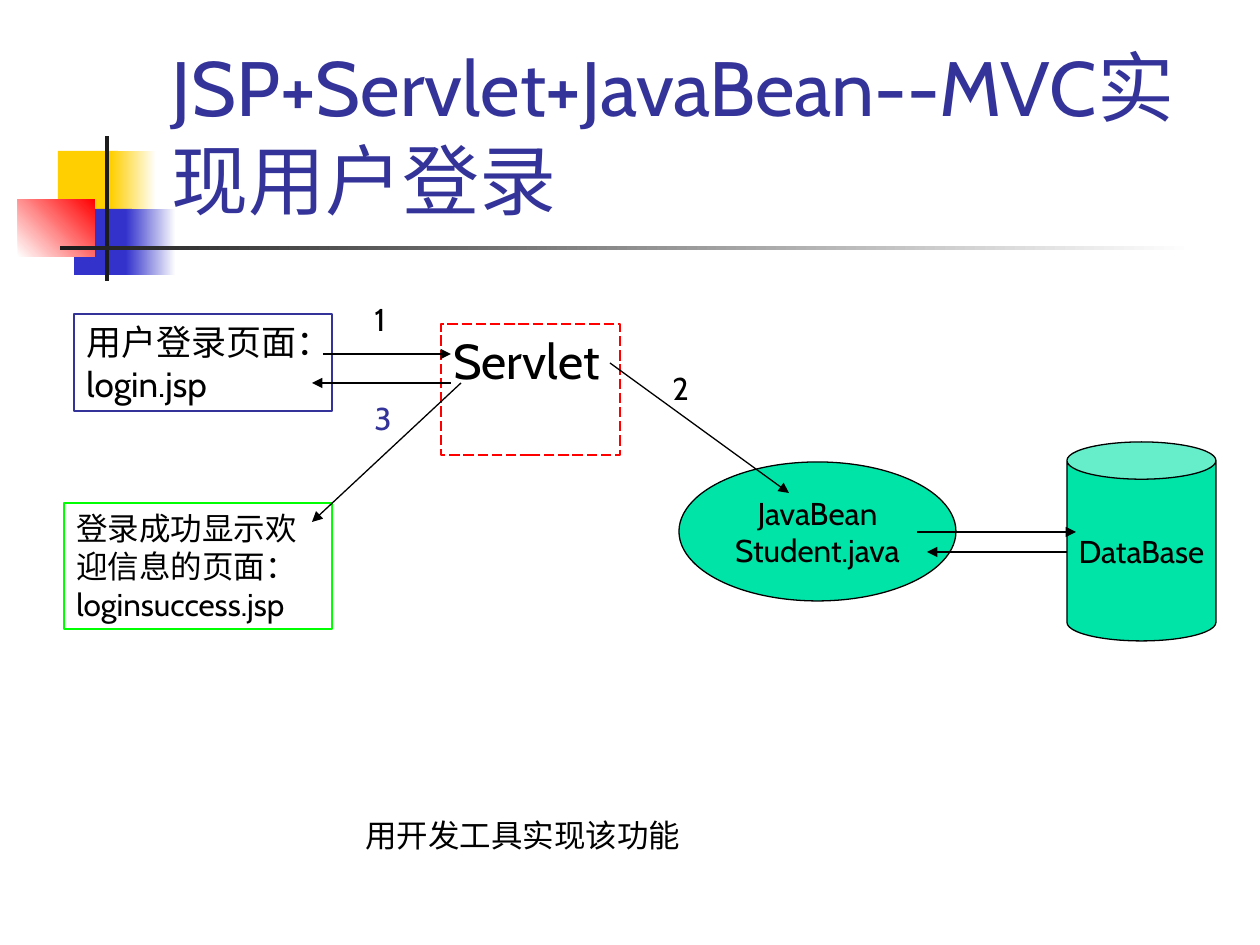
from lxml.etree import SubElement
from pptx import Presentation
from pptx.dml.color import RGBColor
from pptx.enum.dml import MSO_LINE
from pptx.enum.shapes import MSO_CONNECTOR, MSO_SHAPE
from pptx.enum.text import MSO_ANCHOR, MSO_AUTO_SIZE, PP_ALIGN
from pptx.oxml.ns import qn
from pptx.util import Pt

FONT = "Cabin"
EMU_PER_PX = 914400 / 126

BLACK = RGBColor(0x00, 0x00, 0x00)
WHITE = RGBColor(0xFF, 0xFF, 0xFF)
CHARCOAL = RGBColor(0x1C, 0x1C, 0x1C)
YELLOW = RGBColor(0xFF, 0xCF, 0x01)
BLUE = RGBColor(0x33, 0x33, 0xCC)
NAVY = RGBColor(0x33, 0x33, 0x99)
RED = RGBColor(0xFF, 0x00, 0x00)
LIME = RGBColor(0x00, 0xFF, 0x00)
GREEN = RGBColor(0x00, 0xE4, 0xA8)

TITLE = "JSP+Servlet+JavaBean--MVC实现用户登录"
TITLE_BOX = (159, 29, 1073, 202)

# box in px, colours (two make a gradient), gradient angle
ORNAMENTS = [
    ((58, 151, 60, 66), [YELLOW], 0),
    ((111, 151, 45, 66), [YELLOW, WHITE], 0),
    ((74, 209, 58, 66), [BLUE], 0),
    ((126, 209, 50, 66), [BLUE, WHITE], 0),
    ((18, 199, 77, 58), [WHITE, RED], 45),
    ((105, 136, 4, 145), [CHARCOAL], 0),
    ((60, 246, 1134, 4), [CHARCOAL, WHITE], 0),
]

# box in px, line colour, dash, text size, text
PAGES = [
    ((74, 314, 258, 97), NAVY, None, 20, "用户登录页面：login.jsp"),
    ((441, 324, 179, 131), RED, MSO_LINE.LONG_DASH, 28, "Servlet"),
    ((64, 503, 268, 126), LIME, None, 18, "登录成功显示欢迎信息的页面：loginsuccess.jsp"),
]

# preset, box in px, lines of text
COMPONENTS = [
    (MSO_SHAPE.OVAL, (679, 462, 277, 139), ["JavaBean", "Student.java"]),
    (MSO_SHAPE.CAN, (1067, 442, 149, 199), ["DataBase"]),
]

# start and end in px
ARROWS = [
    ((323, 354), (451, 354)),
    ((610, 363), (789, 493)),
    ((917, 532), (1076, 532)),
    ((1067, 552), (927, 552)),
    ((461, 383), (312, 522)),
    ((451, 383), (312, 383)),
]

# box in px, colour, text
LABELS = [
    ((362, 294, 40, 50), BLACK, "1"),
    ((660, 363, 49, 50), BLACK, "2"),
    ((362, 393, 40, 50), NAVY, "3"),
    ((353, 810, 407, 50), BLACK, "用开发工具实现该功能"),
]


def px(*lengths):
    return [round(length * EMU_PER_PX) for length in lengths]


def write(shape, lines, size, color=BLACK, align=PP_ALIGN.LEFT,
          anchor=MSO_ANCHOR.TOP, wrap=True):
    frame = shape.text_frame
    frame.word_wrap = wrap
    frame.auto_size = MSO_AUTO_SIZE.NONE
    frame.vertical_anchor = anchor
    for index, line in enumerate(lines):
        paragraph = frame.add_paragraph() if index else frame.paragraphs[0]
        paragraph.alignment = align
        run = paragraph.add_run()
        run.text = line
        run.font.name = FONT
        run.font.size = Pt(size)
        run.font.color.rgb = color


def add_shape(slide, preset, box, colors=(), angle=0, line=None, dash=None):
    """Add a shape with no fill, one colour or a two-colour gradient."""
    shape = slide.shapes.add_shape(preset, *px(*box))
    shape.shadow.inherit = False
    if len(colors) == 2:
        shape.fill.gradient()
        shape.fill.gradient_angle = angle
        for stop, color, position in zip(shape.fill.gradient_stops, colors, (0, 1)):
            stop.color.rgb = color
            stop.position = position
    elif colors:
        shape.fill.solid()
        shape.fill.fore_color.rgb = colors[0]
    else:
        shape.fill.background()
    if line is None:
        shape.line.fill.background()
    else:
        shape.line.color.rgb = line
        shape.line.width = Pt(0.75)
        if dash:
            shape.line.dash_style = dash
    return shape


def add_arrow(slide, start, end):
    arrow = slide.shapes.add_connector(MSO_CONNECTOR.STRAIGHT, *px(*start, *end))
    arrow.line.color.rgb = BLACK
    arrow.line.width = Pt(0.75)
    properties = arrow.element.spPr
    SubElement(properties.find(qn("a:ln")), qn("a:tailEnd"), type="triangle")
    SubElement(properties, qn("a:effectLst"))


def main():
    presentation = Presentation()
    presentation.slide_width, presentation.slide_height = px(1260, 945)
    slide = presentation.slides.add_slide(presentation.slide_layouts[5])

    title = slide.shapes.title
    title.left, title.top, title.width, title.height = px(*TITLE_BOX)
    write(title, [TITLE], 44, NAVY, anchor=MSO_ANCHOR.BOTTOM)

    for box, colors, angle in ORNAMENTS:
        add_shape(slide, MSO_SHAPE.RECTANGLE, box, colors, angle)
    for box, line, dash, size, text in PAGES:
        page = add_shape(slide, MSO_SHAPE.RECTANGLE, box, line=line, dash=dash)
        write(page, [text], size)
    for preset, box, lines in COMPONENTS:
        component = add_shape(slide, preset, box, [GREEN], line=BLACK)
        write(component, lines, 18, align=PP_ALIGN.CENTER,
              anchor=MSO_ANCHOR.MIDDLE, wrap=False)
    for start, end in ARROWS:
        add_arrow(slide, start, end)
    for box, color, text in LABELS:
        write(slide.shapes.add_textbox(*px(*box)), [text], 18, color)

    presentation.save("out.pptx")


if __name__ == "__main__":
    main()
